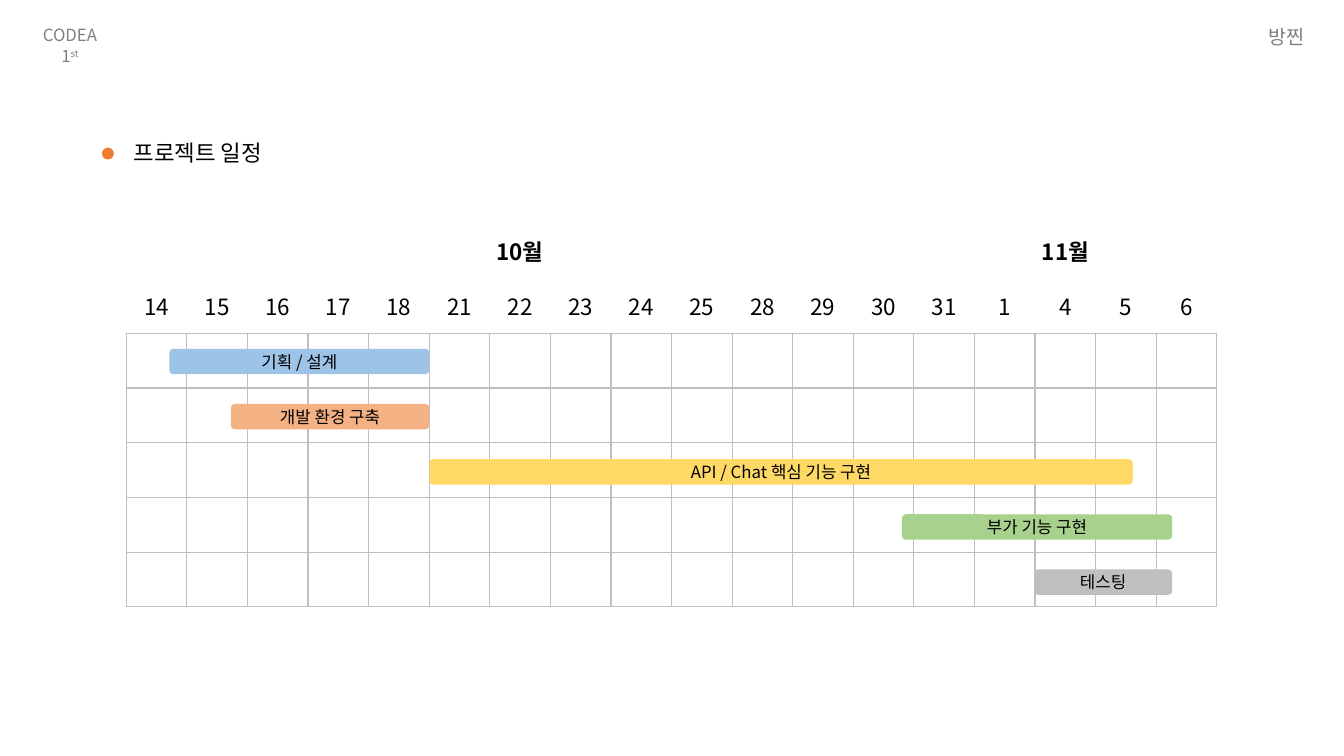
import dataclasses

import lxml.etree
import pptx
import pptx.dml.color
import pptx.enum.shapes
import pptx.enum.text
import pptx.oxml.ns
import pptx.util

Cm = pptx.util.Cm
CENTER = pptx.enum.text.PP_ALIGN.CENTER
LEFT = pptx.enum.text.PP_ALIGN.LEFT
MIDDLE = pptx.enum.text.MSO_ANCHOR.MIDDLE
SHAPES = pptx.enum.shapes.MSO_SHAPE

MONTHS = [("10월", 13), ("11월", 5)]
DAYS = [14, 15, 16, 17, 18, 21, 22, 23, 24, 25, 28, 29, 30, 31, 1, 4, 5, 6]
TASKS = [
    ("기획 / 설계", 4.27, 6.55, "9DC3E6"),
    ("개발 환경 구축", 5.82, 5.0, "F4B183"),
    ("API / Chat 핵심 기능 구현", 10.82, 17.73, "FFD966"),
    ("부가 기능 구현", 22.73, 6.81, "A9D18E"),
    ("테스팅", 26.06, 3.48, "BFBFBF"),
]


@dataclasses.dataclass(frozen=True)
class Theme:
    """Colours, fonts and type sizes of the schedule."""
    text: str = "000000"
    muted: str = "808080"
    accent: str = "ED7D31"
    grid: str = "BFBFBF"
    font: str = "Noto Sans CJK KR"
    title_font: str = "Roboto"
    small: int = 12
    label: int = 14
    heading: int = 16


def rgb(color):
    return pptx.dml.color.RGBColor.from_string(color)


def add_text(paragraph, text, *, size, color, font, bold=False,
             align=CENTER, superscript=False):
    paragraph.alignment = align
    run = paragraph.add_run()
    run.text = text
    run.font.name = font
    run.font.size = pptx.util.Pt(size)
    run.font.bold = bold
    run.font.color.rgb = rgb(color)
    properties = run._r.get_or_add_rPr()
    east_asian = lxml.etree.SubElement(properties, pptx.oxml.ns.qn("a:ea"))
    east_asian.set("typeface", Theme.font)
    if superscript:
        properties.set("baseline", "30000")


class ScheduleSlide:
    """Draws the elements of the schedule on one slide."""

    def __init__(self, slide, theme):
        self.slide = slide
        self.theme = theme

    def label(self, left, top, width, height, text, *, size, color,
              font=Theme.font, align=CENTER, ordinal=""):
        box = self.slide.shapes.add_textbox(
            Cm(left), Cm(top), Cm(width), Cm(height))
        frame = box.text_frame
        frame.word_wrap = False
        frame.auto_size = pptx.enum.text.MSO_AUTO_SIZE.SHAPE_TO_FIT_TEXT
        style = dict(size=size, color=color, font=font, align=align)
        add_text(frame.paragraphs[0], text, **style)
        if ordinal:
            add_text(frame.paragraphs[0], ordinal, superscript=True, **style)

    def shape(self, kind, left, top, width, height, color, text=""):
        shape = self.slide.shapes.add_shape(
            kind, Cm(left), Cm(top), Cm(width), Cm(height))
        shape.shadow.inherit = False
        shape.fill.solid()
        shape.fill.fore_color.rgb = rgb(color)
        shape.line.fill.background()
        if text:
            shape.text_frame.vertical_anchor = MIDDLE
            add_text(shape.text_frame.paragraphs[0], text,
                     size=self.theme.small, color=self.theme.text,
                     font=self.theme.font)

    def borders(self, cell, visible):
        properties = cell._tc.get_or_add_tcPr()
        for index, side in enumerate("LRTB"):
            line = lxml.etree.Element(pptx.oxml.ns.qn(f"a:ln{side}"))
            line.set("w", str(pptx.util.Pt(1)))
            kind = "a:solidFill" if side in visible else "a:noFill"
            fill = lxml.etree.SubElement(line, pptx.oxml.ns.qn(kind))
            if side in visible:
                color = lxml.etree.SubElement(
                    fill, pptx.oxml.ns.qn("a:srgbClr"))
                color.set("val", self.theme.grid)
            properties.insert(index, line)

    def heading(self, cell, text, bold=False):
        add_text(cell.text_frame.paragraphs[0], text, bold=bold,
                 size=self.theme.heading, color=self.theme.text,
                 font=self.theme.font)

    def calendar(self, left, top, width, row_height):
        row_count = len(TASKS) + 2
        table = self.slide.shapes.add_table(
            row_count, len(DAYS), Cm(left), Cm(top), Cm(width),
            Cm(row_height * row_count)).table
        table.first_row = False
        table.horz_banding = False
        for column in table.columns:
            column.width = Cm(width / len(DAYS))
        for index, row in enumerate(table.rows):
            row.height = Cm(row_height)
            for cell in row.cells:
                cell.fill.background()
                cell.vertical_anchor = MIDDLE
                cell.margin_left = cell.margin_right = Cm(0.23)
                cell.margin_top = cell.margin_bottom = Cm(0.11)
                self.borders(cell, ["", "B"][index] if index < 2 else "LRTB")
        start = 0
        for month, span in MONTHS:
            cell = table.cell(0, start)
            cell.merge(table.cell(0, start + span - 1))
            self.heading(cell, month, bold=True)
            start += span
        for column, day in enumerate(DAYS):
            self.heading(table.cell(1, column), str(day))


def main():
    theme = Theme()
    presentation = pptx.Presentation()
    presentation.slide_width = Cm(33.87)
    presentation.slide_height = Cm(19.05)
    slide = presentation.slides.add_slide(presentation.slide_layouts[6])
    schedule = ScheduleSlide(slide, theme)

    schedule.calendar(3.18, 5.64, 27.5, 1.38)
    for row, (name, left, width, color) in enumerate(TASKS):
        schedule.shape(SHAPES.ROUNDED_RECTANGLE, left, 8.79 + 1.39 * row,
                       width, 0.64, color, name)
    schedule.shape(SHAPES.OVAL, 2.57, 3.72, 0.3, 0.3, theme.accent)
    schedule.label(3.12, 3.38, 4.14, 0.94, "프로젝트 일정", size=theme.heading,
                   color=theme.text, font=theme.title_font, align=LEFT)
    schedule.label(0.61, 0.51, 2.31, 0.76, "CODEA 1", size=theme.small,
                   color=theme.muted, ordinal="st")
    schedule.label(31.67, 0.51, 1.5, 0.86, "방찐", size=theme.label,
                   color=theme.muted)
    presentation.save("out.pptx")


if __name__ == "__main__":
    main()
